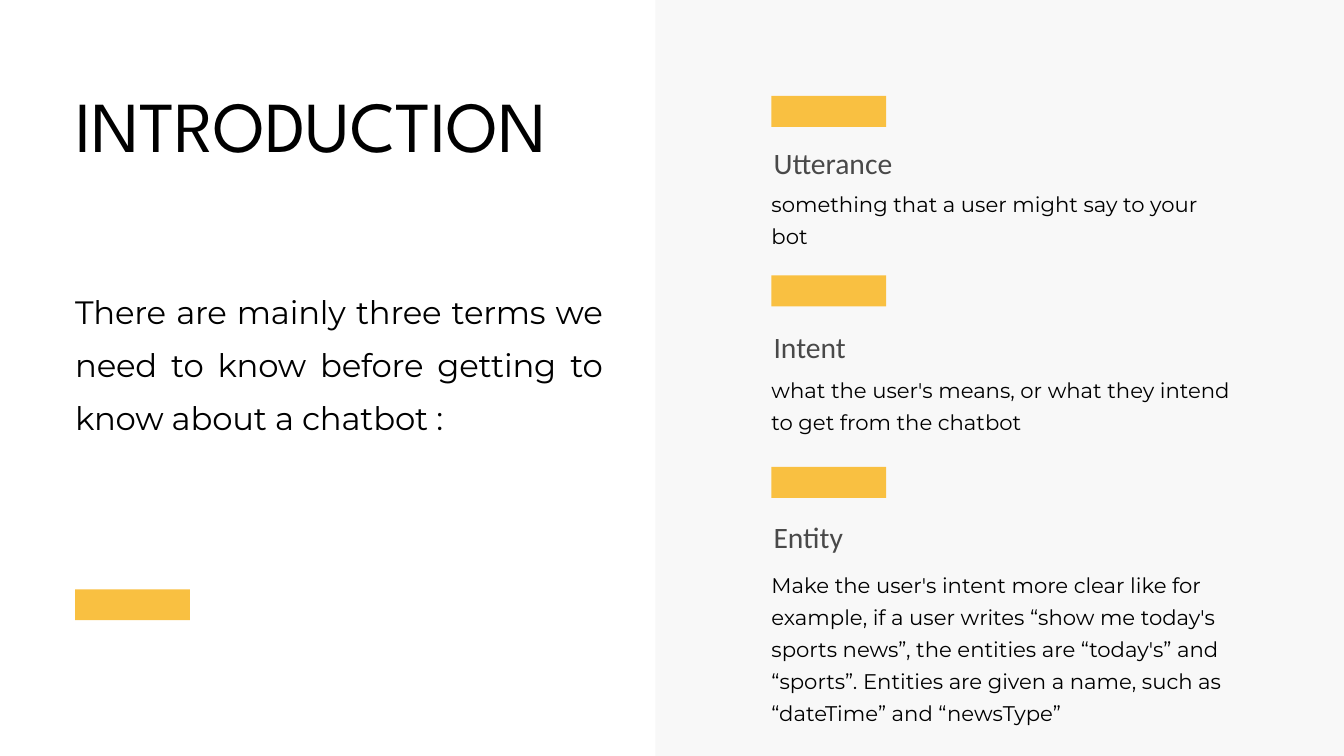
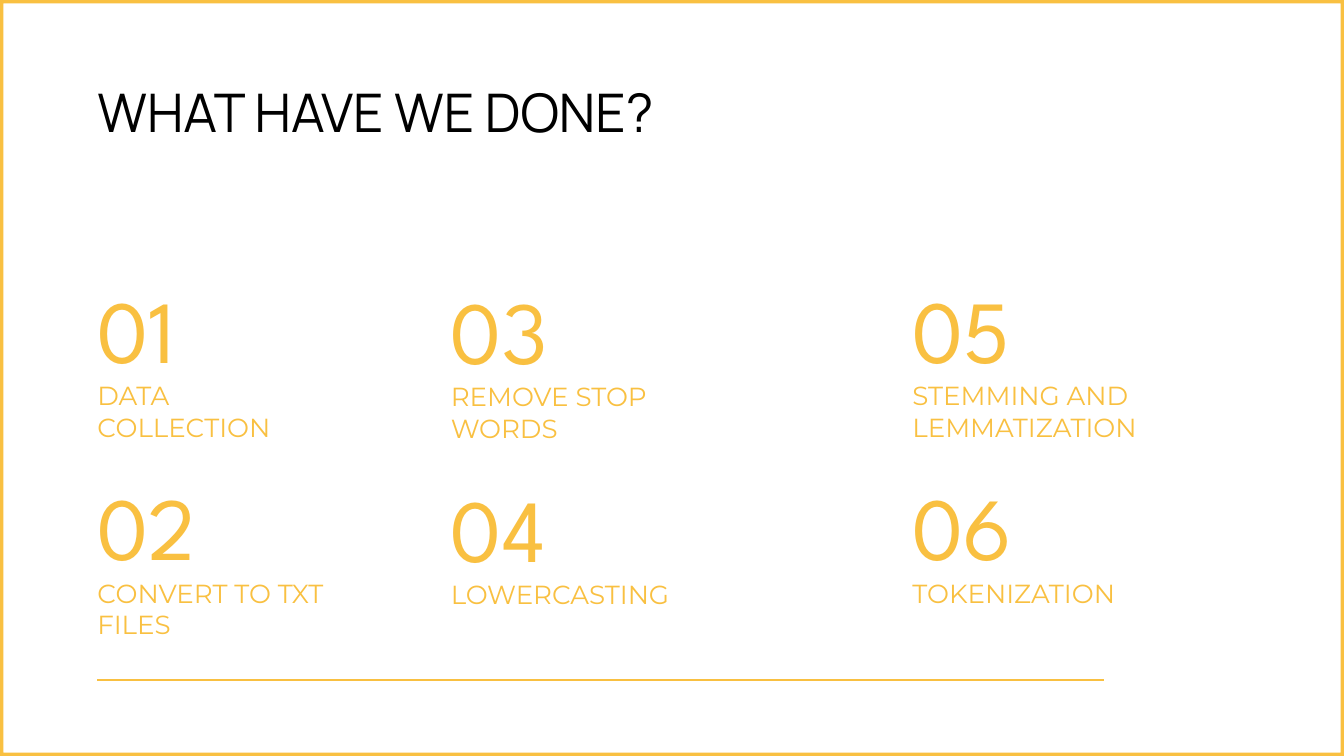
from dataclasses import dataclass

from lxml import etree
from pptx import Presentation
from pptx.dml.color import RGBColor
from pptx.enum import shapes, text
from pptx.oxml import ns
from pptx.util import Cm, Pt

WIDE, HIGH = 50.8, 28.58
RECT = shapes.MSO_SHAPE.RECTANGLE
FRAME = shapes.MSO_SHAPE.FRAME


@dataclass(frozen=True)
class Theme:
    gold: str = "F9C041"
    black: str = "000000"
    grey: str = "494949"
    panel: str = "DDDDDD"
    body: str = "Montserrat"
    head: str = "League Spartan"
    plain: str = "Manrope"
    term: str = "Calibri"
    intro: float = 76.8
    title: float = 57
    lead: float = 34.6
    name: float = 31.7
    note: float = 22.7
    digit: float = 95
    label: float = 28


class Deck:
    def __init__(self, theme):
        self.theme = theme
        self.file = Presentation()
        self.file.slide_width = Cm(WIDE)
        self.file.slide_height = Cm(HIGH)
        self.page = None

    def start(self):
        self.page = self.file.slides.add_slide(self.file.slide_layouts[6])

    def shape(self, kind, left, top, width, height, color, alpha=None):
        item = self.page.shapes.add_shape(
            kind, Cm(left), Cm(top), Cm(width), Cm(height))
        item.shadow.inherit = False
        item.fill.solid()
        item.fill.fore_color.rgb = RGBColor.from_string(color)
        item.line.fill.background()
        if alpha is not None:
            tone = item._element.spPr.find(".//" + ns.qn("a:srgbClr"))
            etree.SubElement(tone, ns.qn("a:alpha"), val=str(alpha * 1000))
        return item

    def bar(self, left, top):
        self.shape(RECT, left, top, 4.34, 1.17, self.theme.gold)

    def frame(self, thick):
        item = self.shape(FRAME, 0, 0, WIDE, HIGH, self.theme.gold)
        item.adjustments[0] = thick / HIGH

    def rule(self, left, right, top):
        line = self.page.shapes.add_connector(
            shapes.MSO_CONNECTOR.STRAIGHT, Cm(left), Cm(top), Cm(right), Cm(top))
        line.line.color.rgb = RGBColor.from_string(self.theme.gold)
        line.line.width = Pt(1.5)
        etree.SubElement(line._element.spPr, ns.qn("a:effectLst"))

    def words(self, copy, left, top, width, height, *, font, size, lead,
              color=None, align=text.PP_ALIGN.LEFT, space=None):
        box = self.page.shapes.add_textbox(
            Cm(left), Cm(top), Cm(width), Cm(height))
        body = box.text_frame
        body.word_wrap = True
        body.auto_size = text.MSO_AUTO_SIZE.SHAPE_TO_FIT_TEXT
        body.margin_left = body.margin_right = 0
        body.margin_top = body.margin_bottom = 0
        para = body.paragraphs[0]
        para.alignment = align
        para.line_spacing = Pt(lead)
        run = para.add_run()
        run.text = copy
        run.font.name = font
        run.font.size = Pt(size)
        run.font.color.rgb = RGBColor.from_string(color or self.theme.black)
        if space is not None:
            run._r.get_or_add_rPr().set("spc", str(round(space * 100)))


TERMS = [
    ("Utterance", "something that a user might say to your bot",
     3.63, 5.13, 6.99, 17.17, 2.36),
    ("Intent", "what the user's means, or what they intend to get from the chatbot",
     10.41, 12.09, 14.02, 18.01, 2.36),
    ("Entity", "Make the user's intent more clear like for example, if a user "
     "writes “show me today's sports news”, the entities are “today's” and "
     "“sports”. Entities are given a name, such as “dateTime” and “newsType”",
     17.65, 19.3, 21.41, 18.8, 5.92),
]

STEPS = [
    (3.68, 10.39, 8.56, ["DATA COLLECTION", "CONVERT TO TXT FILES"]),
    (17.04, 10.44, 10.82, ["REMOVE STOP WORDS", "LOWERCASTING"]),
    (34.49, 10.39, 11.46, ["STEMMING AND LEMMATIZATION", "TOKENIZATION"]),
]


def intro(deck):
    look = deck.theme
    left, right = 2.84, 29.16
    deck.start()
    deck.shape(RECT, 24.77, 0, WIDE - 24.77, HIGH, look.panel, alpha=18)
    deck.bar(left, 22.28)
    deck.words("INTRODUCTION", left, 3.61, 22.56, 2.82,
               font=look.head, size=look.intro, lead=76.8)
    deck.words("There are mainly three terms we need to know before getting "
               "to know about a chatbot :", left, 10.54, 19.94, 5.82,
               font=look.body, size=look.lead, lead=56.4,
               align=text.PP_ALIGN.JUSTIFY, space=-0.2)
    for name, note, bar, head, top, width, height in TERMS:
        deck.bar(right, bar)
        deck.words(name, right + 0.08, head, 10.69, 1.57, font=look.term,
                   size=look.name, lead=47.6, color=look.grey)
        deck.words(note, right, top, width, height, font=look.body,
                   size=look.note, lead=34.1)


def steps(deck):
    look = deck.theme
    left, pitch, drop = 3.68, 7.46, 3.96
    deck.start()
    deck.frame(0.13)
    deck.rule(left, 41.73, 25.7)
    deck.words("WHAT HAVE WE DONE?", left, 3.28, 30.96, 2.36,
               font=look.plain, size=look.title, lead=60.4)
    count = 0
    for side, first, width, labels in STEPS:
        for row, label in enumerate(labels):
            count += 1
            top = first + row * pitch
            deck.words(f"{count:02}", side, top, 7.5, drop, font=look.head,
                       size=look.digit, lead=114, color=look.gold)
            deck.words(label, side, top + drop, width, 2.31, font=look.body,
                       size=look.label, lead=33.6, color=look.gold)


def main():
    deck = Deck(Theme())
    intro(deck)
    steps(deck)
    deck.file.save("out.pptx")


if __name__ == "__main__":
    main()
